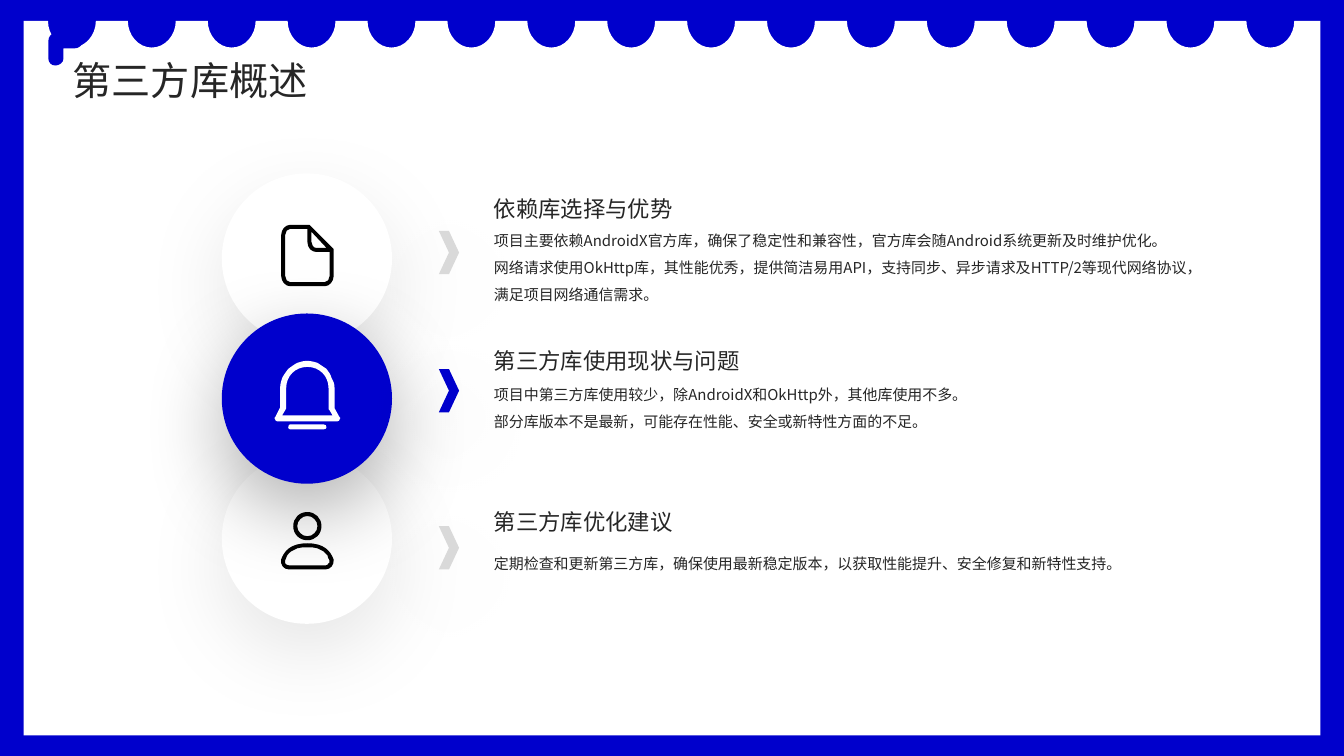
import lxml.etree
import pptx
import pptx.dml.color
import pptx.enum.shapes
import pptx.enum.text
import pptx.oxml.ns
import pptx.util

Cm = pptx.util.Cm
Pt = pptx.util.Pt
RGB = pptx.dml.color.RGBColor.from_string
SHAPE = pptx.enum.shapes.MSO_SHAPE
ANCHOR = pptx.enum.text.MSO_ANCHOR
qn = pptx.oxml.ns.qn
SubElement = lxml.etree.SubElement

FONT = "Noto Sans CJK SC"
COLORS = {"blue": "0000CC", "white": "FFFFFF", "black": "000000",
          "gray": "D9D9D9", "text": "262626"}
UNIT = 0.0254  # outlines are measured in hundredths of an inch

prs = pptx.Presentation()
prs.slide_width, prs.slide_height = Cm(33.87), Cm(19.05)
s = prs.slides.add_slide(prs.slide_layouts[5])


def paint(sp, color, shadow_alpha=0):
    """Fill a shape without outline; shadow_alpha (percent) adds a soft shadow below."""
    sp.fill.solid()
    sp.fill.fore_color.rgb = RGB(COLORS[color])
    sp.line.fill.background()
    sp.shadow.inherit = False
    if shadow_alpha:
        effects = sp.element.spPr.find(qn("a:effectLst"))
        shadow = SubElement(effects, qn("a:outerShdw"), blurRad=str(Pt(60)),
                            dist=str(Pt(20)), dir="5400000", algn="t", rotWithShape="0")
        clr = SubElement(shadow, qn("a:srgbClr"), val=COLORS["black"])
        SubElement(clr, qn("a:alpha"), val=str(shadow_alpha * 1000))


def draw_outline(contours, color):
    """Draw closed contours; each comma part is a line end (2 numbers) or a Bézier (6)."""
    builder = None
    sizes = []  # points in each segment after a contour's start
    for contour in contours:
        parts = [[Cm(float(v) * UNIT) for v in part.split()] for part in contour.split(",")]
        pts = [(n[i], n[i + 1]) for n in parts for i in range(0, len(n), 2)]
        sizes += [len(n) // 2 for n in parts[1:]]
        if builder is None:
            builder = s.shapes.build_freeform(*pts[0])
        else:
            builder.move_to(*pts[0])
        builder.add_line_segments(pts[1:], close=True)
    sp = builder.convert_to_shape()
    lines = iter(list(sp.element.iter(qn("a:lnTo"))))
    for size in sizes:
        segment = [next(lines) for _ in range(size)]
        if size == 3:
            curve = lxml.etree.Element(qn("a:cubicBezTo"))
            segment[0].addprevious(curve)
            for line in segment:
                curve.append(line[0])
                line.getparent().remove(line)
    paint(sp, color)


# Frame and scalloped page
paint(s.shapes.add_shape(SHAPE.RECTANGLE, 0, 0, prs.slide_width, prs.slide_height), "blue")
page = ["23.5 20.8"]
for i in range(16):
    x = 47.6 + 79.27 * i
    page += [f"{x} 20.8",
             f"{x} 35 {x + 10.6} 47.2 {x + 23.75} 47.2",
             f"{x + 36.9} 47.2 {x + 47.5} 35 {x + 47.5} 20.8"]
page += ["1310 20.8", "1310 729.5", "23.5 729.5"]
draw_outline([",".join(page)], "white")

# Circles (the blue one lies on top) and chevrons
for row, color, alpha in ((2, "white", 10), (0, "white", 10), (1, "blue", 30)):
    sp = s.shapes.add_shape(SHAPE.OVAL, Cm(5.59), Cm(4.37 + 3.53 * row), Cm(4.29), Cm(4.29))
    paint(sp, color, alpha)
for top, color, alpha in ((5.82, "gray", 10), (9.3, "blue", 20), (13.26, "gray", 10)):
    sp = s.shapes.add_shape(SHAPE.CHEVRON, Cm(11.06), Cm(top), Cm(0.51), Cm(1.09))
    paint(sp, color, alpha)

# Icons
document = [
    "331 248, 331 247 331 247 331 247, 308 224, 308 223 307 223 307 223, 288 223,"
    "283 223 279 228 279 233, 279 274, 279 279 283 284 288 284, 322 284,"
    "327 284 331 279 331 274",
    "309 240, 309 230, 324 246, 314 246, 311 246 309 243 309 240",
    "327 274, 327 277 325 280 322 280, 288 280, 285 280 283 277 283 274, 283 233,"
    "283 230 285 227 288 227, 305 227, 305 240, 305 246 309 250 314 250, 327 250",
]
bell = [
    "288 421, 321 421, 323 421 324 422 324 424, 324 425 323 426 321 426, 288 426,"
    "287 426 286 425 286 424, 286 422 287 421 288 421",
    "305 364, 293 364 284 373 284 385, 284 405, 284 406 283 406 283 407, 280 412,"
    "330 412, 327 407, 326 407 326 406 326 406, 326 385, 326 373 317 364 305 364",
    "305 358, 308 358 312 359 315 360, 318 362 321 364 324 366, 326 369 328 371 329 375,"
    "331 378 332 381 332 385, 332 405, 337 414, 338 414 338 415 337 416,"
    "337 417 336 418 335 418, 275 418, 274 418 273 417 273 416, 272 415 272 414 273 414,"
    "278 404, 278 385, 278 381 279 378 280 375, 282 371 284 369 286 366,"
    "289 364 291 362 295 360, 298 359 301 358 305 358",
]
person = [
    "305 512, 308 512 310 513 312 515, 314 517 315 519 315 522, 315 525 314 527 312 529,"
    "310 531 308 532 305 532, 302 532 300 531 298 529, 296 527 295 525 295 522,"
    "295 519 296 517 298 515, 300 513 302 512 305 512",
    "305 508, 297 508 291 514 291 522, 291 530 297 536 305 536, 313 536 319 530 319 522,"
    "319 514 313 508 305 508",
    "305 543, 309 543 312 543 315 544, 317 545 319 546 321 547, 322 548 323 549 325 551,"
    "325 553 326 554 327 556, 327 558 327 559 326 559, 326 560 324 561 323 561, 287 561,"
    "285 561 284 560 283 559, 283 559 283 558 283 556, 284 554 284 553 285 551,"
    "286 549 288 548 289 547, 291 546 293 545 295 544, 298 543 301 543 305 543",
    "305 539, 288 539 282 547 279 555, 278 560 281 565 287 565, 323 565,"
    "328 565 332 560 331 555, 328 547 322 539 305 539",
]
for icon, color in ((person, "black"), (document, "black"), (bell, "white")):
    draw_outline(icon, color)

# Texts
title = s.shapes.title
title.left, title.top, title.width, title.height = Cm(1.83), Cm(1.3), Cm(29.64), Cm(1.3)
s.shapes.element.append(title.element)
texts = [(title, "第三方库概述", 28, 1.1, ANCHOR.MIDDLE)]
sections = [
    (4.55, 5.62, "依赖库选择与优势",
     "项目主要依赖AndroidX官方库，确保了稳定性和兼容性，官方库会随Android系统更新及时维护优化。\n"
     "网络请求使用OkHttp库，其性能优秀，提供简洁易用API，支持同步、异步请求及HTTP/2等现代网络协议，"
     "满足项目网络通信需求。"),
    (8.39, 9.48, "第三方库使用现状与问题",
     "项目中第三方库使用较少，除AndroidX和OkHttp外，其他库使用不多。\n"
     "部分库版本不是最新，可能存在性能、安全或新特性方面的不足。"),
    (12.45, 13.75, "第三方库优化建议",
     "定期检查和更新第三方库，确保使用最新稳定版本，以获取性能提升、安全修复和新特性支持。"),
]
for heading_top, body_top, heading, body in sections:
    for text, top, width, height, size, anchor in (
            (body, body_top, 17.9, 2.51, 10.7, ANCHOR.TOP),
            (heading, heading_top, 18.24, 1.07, 16, ANCHOR.MIDDLE)):
        box = s.shapes.add_textbox(Cm(12.45), Cm(top), Cm(width), Cm(height))
        texts.append((box, text, size, 1.5, anchor))

for sp, text, size, spacing, anchor in texts:
    tf = sp.text_frame
    frame = {"margin_left": 0, "margin_right": 0, "margin_top": 0, "margin_bottom": 0,
             "word_wrap": True, "vertical_anchor": anchor,
             "auto_size": pptx.enum.text.MSO_AUTO_SIZE.NONE}
    for name, value in frame.items():
        setattr(tf, name, value)
    p = tf.paragraphs[0]
    p.text = text
    p.alignment = pptx.enum.text.PP_ALIGN.LEFT
    p.line_spacing = spacing
    for br in p._p.findall(qn("a:br")):
        SubElement(br, qn("a:rPr"), sz=str(round(size * 100)))
    for r in p.runs:
        for name, value in {"name": FONT, "size": Pt(size), "bold": False}.items():
            setattr(r.font, name, value)
        r.font.color.rgb = RGB(COLORS["text"])
        SubElement(r._r.get_or_add_rPr(), qn("a:ea"), typeface=FONT)

# Drip at the top left corner
draw_outline(["82 41, 82 45 78 48 74 48, 63 48, 63 58, 63 62 59 65 55 65,"
              "51 65 48 62 48 58, 48 41, 48 36 51 33 55 33, 74 33, 78 33 82 36 82 41"], "blue")

prs.save("out.pptx")
